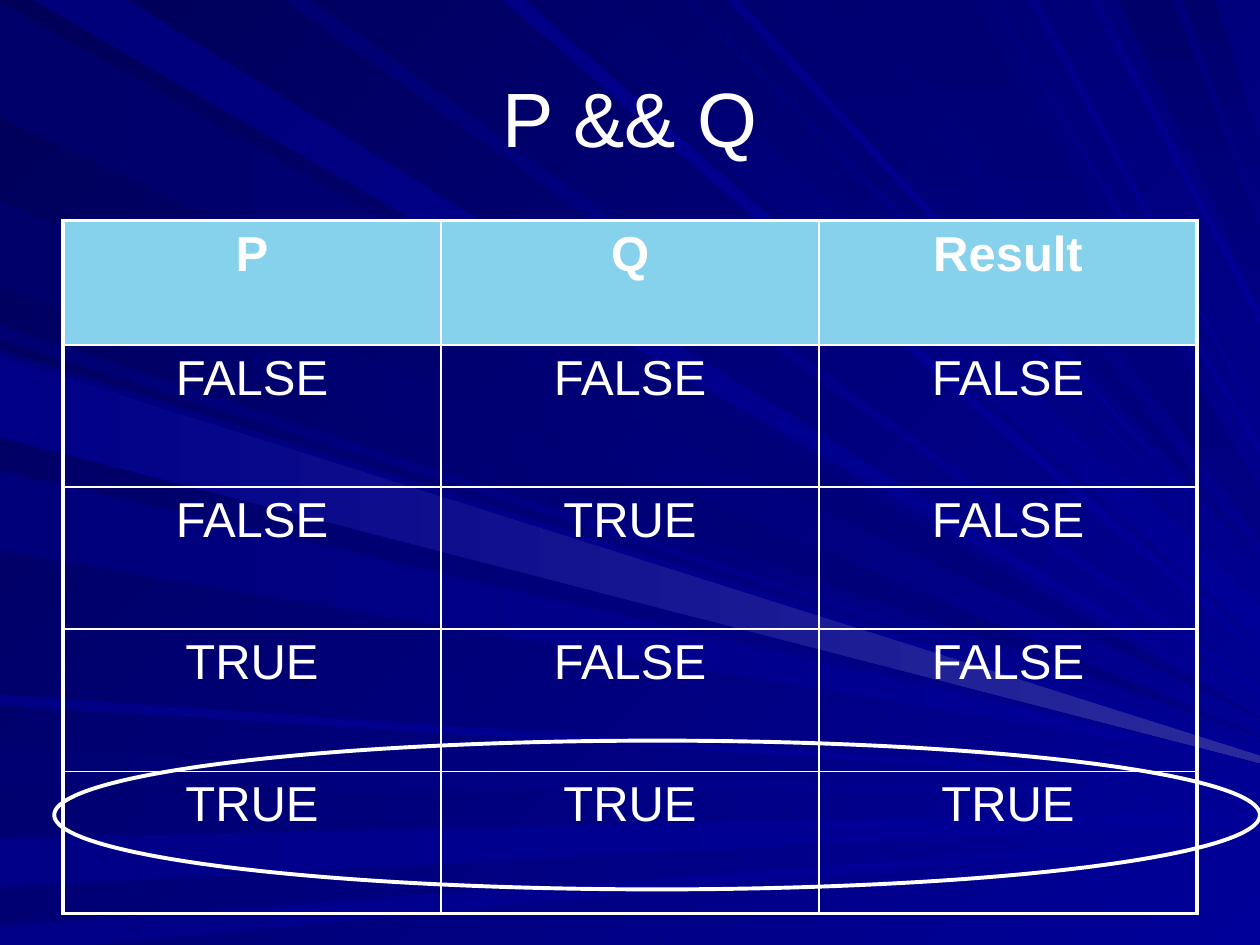
from lxml.etree import SubElement
from pptx import Presentation
from pptx.dml.color import RGBColor
from pptx.enum.shapes import MSO_SHAPE as SHAPE
from pptx.enum.text import MSO_ANCHOR as ANCHOR, PP_ALIGN as ALIGN
from pptx.oxml.ns import qn
from pptx.util import Pt

FONT = "Arial"
WHITE = RGBColor(0xFF, 0xFF, 0xFF)
SKY = RGBColor(0x86, 0xD1, 0xEC)
NIGHT = RGBColor(0x00, 0x00, 0x58)
DEEP = RGBColor(0x00, 0x00, 0x6B)
DIM = RGBColor(0x00, 0x00, 0x73)
MID = RGBColor(0x00, 0x00, 0x7B)
NAVY = RGBColor(0x00, 0x00, 0x80)
SOFT = RGBColor(0x00, 0x00, 0x87)
BLUE = RGBColor(0x00, 0x00, 0x99)
HAZE = RGBColor(0x2A, 0x2A, 0x9C)

OUTER, INNER = Pt(2.25), Pt(1)
HEADER_H, ROW_H = Pt(71.2), Pt(81.2)

TRUTH_TABLE = [
    ("P", "Q", "Result"),
    ("FALSE", "FALSE", "FALSE"),
    ("FALSE", "TRUE", "FALSE"),
    ("TRUE", "FALSE", "FALSE"),
    ("TRUE", "TRUE", "TRUE"),
]

# Light rays, back to front: edge they start on, where they start on it (from, to),
# centre and half width of their end on the right edge, colours
RAYS = [
    ("left", 1, 67, 410, 0, DEEP, NAVY),
    ("top", 19, 73, 405, 0, MID, BLUE),
    ("left", 429, 449, 455, 0, DIM, BLUE),
    ("left", 479, 507, 466, 3, SOFT, BLUE),
    ("left", 529, 545, 477, 0, SOFT, BLUE),
    ("left", 186, 194, 424, 0, DIM, BLUE),
    ("left", 115, 164, 421, 0, DEEP, NAVY),
    ("top", 287, 300, 373, 2, SOFT, BLUE),
    ("top", 307, 354, 355, 10, DEEP, BLUE),
    ("top", 389, 397, 333, 0, DIM, BLUE),
    ("top", 436, 476, 321, 0, DIM, NAVY),
    ("top", 639, 670, 151, 20, DEEP, NAVY),
    ("top", 676, 694, 101, 19, DEEP, NAVY),
    ("left", 200, 246, 431, 2, MID, BLUE),
    ("left", 269, 315, 436, 0, MID, BLUE),
    ("left", 397, 403, 448, 1, SOFT, BLUE),
    ("top", 162, 178, 395, 2, DIM, BLUE),
    ("top", 415, 423, 326, 0, SOFT, BLUE),
    ("top", 494, 554, 294, 14, DIM, NAVY),
    ("top", 565, 570, 257, 2, MID, BLUE),
    ("top", 587, 593, 241, 0, SOFT, BLUE),
    ("top", 623, 628, 182, 3, SOFT, BLUE),
    ("left", 204, 250, 434, 2, SOFT, HAZE),
]


def set_gradient(fill, start, end, angle):
    fill.gradient()
    fill.gradient_angle = -angle % 360  # python-pptx counts anticlockwise
    for stop, colour in zip(fill.gradient_stops, (start, end)):
        stop.color.rgb = colour


def add_rays(slide, left, top, width):
    set_gradient(slide.background.fill, NIGHT, BLUE, 45)
    group = slide.shapes.add_group_shape()
    for edge, near, far, centre, half, start, end in RAYS:
        if edge == "top":
            base = [(left + Pt(near), top), (left + Pt(far), top)]
            angle = 90 if end == NAVY else 45
        else:
            base = [(left, top + Pt(far)), (left, top + Pt(near))]
            angle = 0
        tip = [(left + width, top + Pt(centre + side)) for side in (-half, half)]
        builder = group.shapes.build_freeform(*base[0], scale=1.0)
        builder.add_line_segments(base[1:] + tip, close=True)
        sp = builder.convert_to_shape()
        sp.shadow.inherit = False
        sp.line.fill.background()
        set_gradient(sp.fill, start, end, angle)
    # Send the rays behind the placeholders
    slide.shapes._spTree.insert(2, group._element)


def style_paragraph(p, size, bold=False):
    p.alignment = ALIGN.CENTER
    p.font.name = FONT
    p.font.size = Pt(size)
    p.font.bold = bold
    p.font.color.rgb = WHITE


def add_title(slide, text, left, top, width, height):
    sp = slide.shapes.title
    sp.left, sp.top, sp.width, sp.height = left, top, width, height
    tf = sp.text_frame
    tf.text = text
    tf.vertical_anchor = ANCHOR.MIDDLE
    style_paragraph(tf.paragraphs[0], 44)


def set_border(cell, side, width):
    ln = SubElement(cell._tc.get_or_add_tcPr(), qn(f"a:ln{side}"), w=str(width))
    fill = SubElement(ln, qn("a:solidFill"))
    SubElement(fill, qn("a:srgbClr"), val=str(WHITE))


def add_truth_table(slide, rows, left, top, width, height):
    n_rows, n_cols = len(rows), len(rows[0])
    table = slide.shapes.add_table(n_rows, n_cols, left, top, width, height).table
    for r, values in enumerate(rows):
        table.rows[r].height = ROW_H if r else HEADER_H
        for c, value in enumerate(values):
            cell = table.cell(r, c)
            cell.text = value
            style_paragraph(cell.text_frame.paragraphs[0], 28, bold=r == 0)
            # Heavy frame outside, thin rules inside
            edges = {"L": c == 0, "R": c == n_cols - 1, "T": r == 0, "B": r == n_rows - 1}
            for side, is_outer in edges.items():
                set_border(cell, side, OUTER if is_outer else INNER)
            if r == 0:
                cell.fill.solid()
                cell.fill.fore_color.rgb = SKY
            else:
                cell.fill.background()


def add_highlight(slide, left, top, width, height):
    sp = slide.shapes.add_shape(SHAPE.OVAL, left, top, width, height)
    sp.shadow.inherit = False
    sp.fill.background()
    sp.line.color.rgb = WHITE
    sp.line.width = OUTER


def main():
    prs = Presentation()
    prs.slide_width, prs.slide_height = Pt(720), Pt(540)
    slide = prs.slides.add_slide(prs.slide_layouts[5])
    add_rays(slide, 0, 0, prs.slide_width)
    add_title(slide, "P && Q", Pt(36), Pt(21.6), Pt(648), Pt(90))
    add_truth_table(slide, TRUTH_TABLE, Pt(36), Pt(126), Pt(648), Pt(396))
    add_highlight(slide, Pt(31), Pt(423.2), Pt(689), Pt(85))
    prs.save("out.pptx")


if __name__ == "__main__":
    main()
